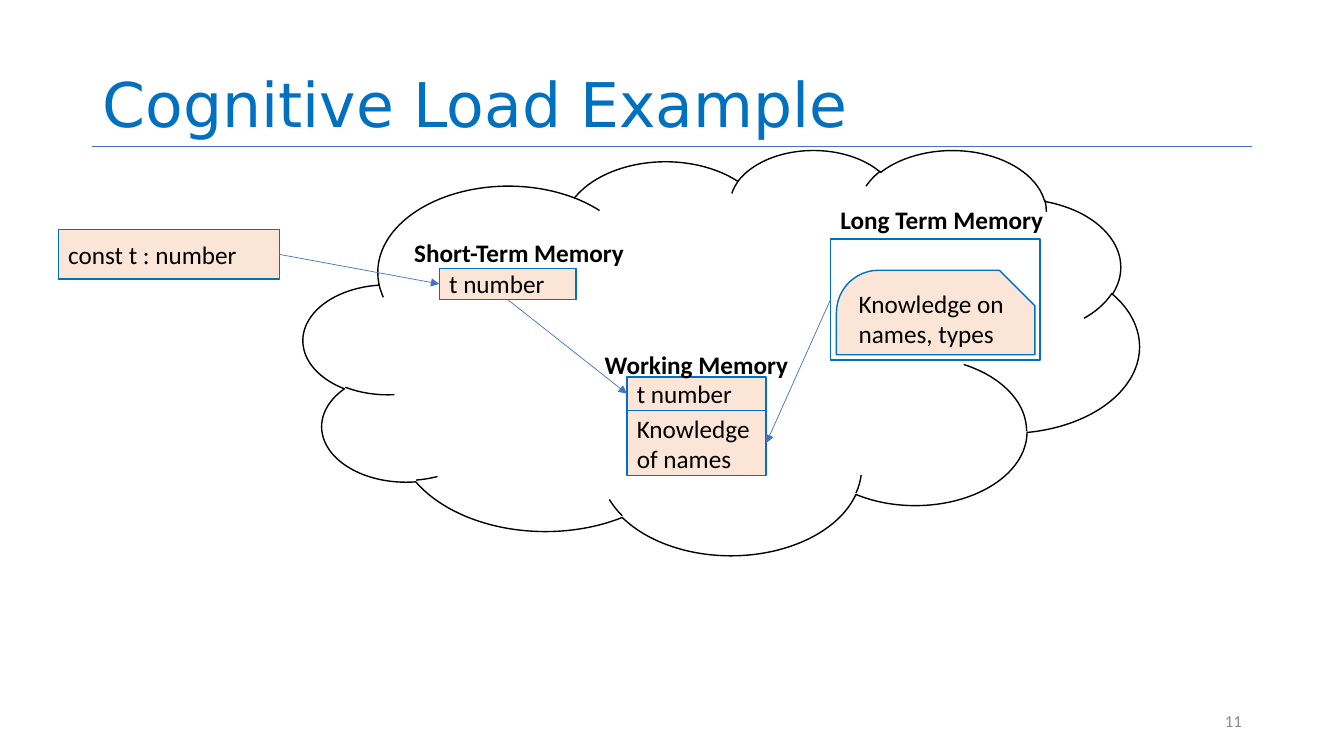
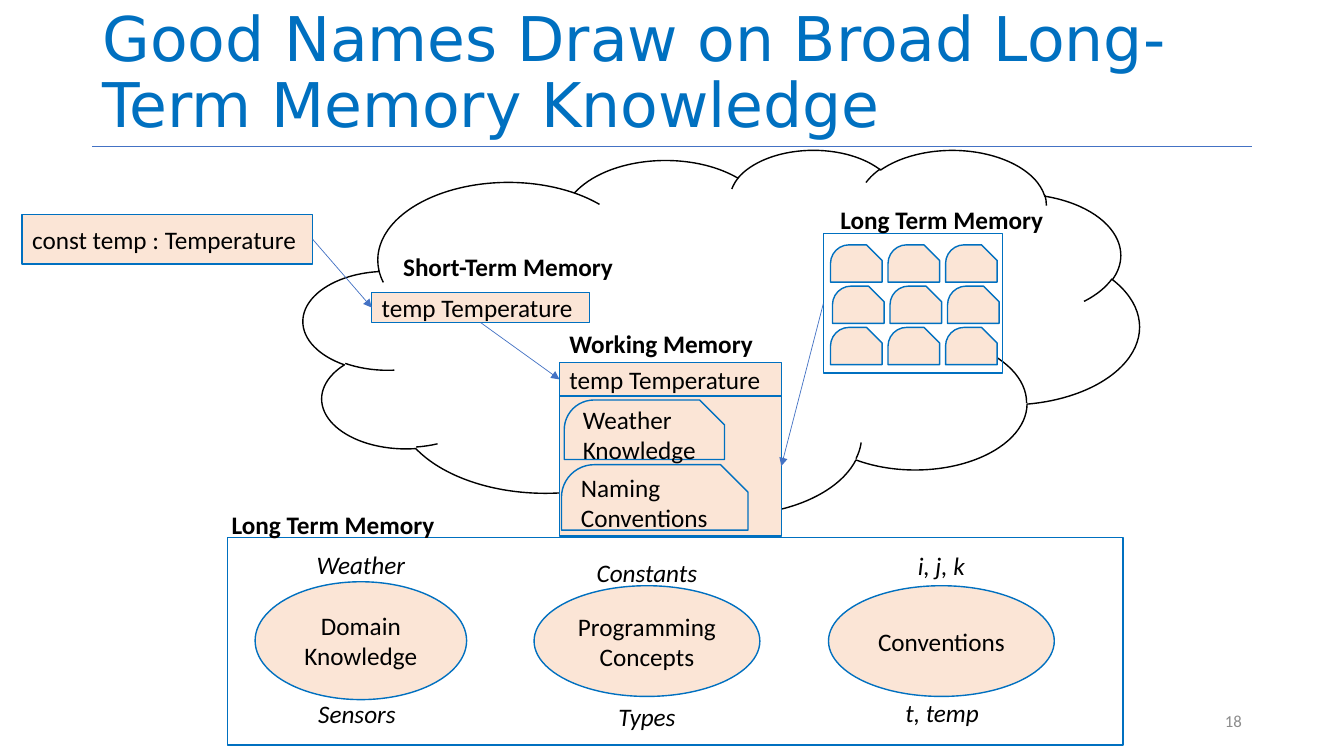
import lxml.etree
import pptx
import pptx.dml.color
import pptx.enum.shapes
import pptx.enum.text
import pptx.oxml.ns
import pptx.util

Cm = pptx.util.Cm
Pt = pptx.util.Pt
Kind = pptx.enum.shapes.MSO_SHAPE
Align = pptx.enum.text.PP_ALIGN
Anchor = pptx.enum.text.MSO_ANCHOR
qn = pptx.oxml.ns.qn

HUES = {
    "title": "0070C0",
    "edge": "0070C0",
    "line": "4472C4",
    "fill": "FBE5D6",
    "text": "000000",
    "page": "8C8C8C",
}
TOP, LEFT, LOW, RIGHT = range(4)


def hue(name):
    return pptx.dml.color.RGBColor.from_string(HUES[name])


def write(frame, text, size=18, font="Calibri", color="text", bold=False,
          italic=False, align=Align.LEFT, anchor=Anchor.MIDDLE, space=1.0):
    frame.word_wrap = True
    frame.auto_size = pptx.enum.text.MSO_AUTO_SIZE.NONE
    frame.vertical_anchor = anchor
    para = frame.paragraphs[0]
    para.alignment = align
    para.line_spacing = space
    run = para.add_run()
    run.text = text
    run.font.size = Pt(size)
    run.font.name = font
    run.font.bold = bold
    run.font.italic = italic
    run.font.color.rgb = hue(color)


class Deck:
    """Holds the style and the slide being drawn."""

    def __init__(self):
        self.show = pptx.Presentation()
        self.show.slide_width = Cm(33.87)
        self.show.slide_height = Cm(19.05)
        self.page = None

    def start(self, title, number):
        """Add a slide with its title, rule and page number."""
        self.page = self.show.slides.add_slide(self.show.slide_layouts[5])
        head = self.page.shapes.title
        head.left, head.top, head.width, head.height = map(Cm, (2.33, 0, 29.21, 3.68))
        write(head.text_frame, title, size=44, font="DejaVu Sans",
              color="title", anchor=Anchor.BOTTOM, space=0.9)
        self.line(2.33, 3.68, 31.54, 3.68)
        self.label(number, 23.93, 17.65, 7.62, 1.02, size=12, color="page",
                   align=Align.RIGHT)

    def label(self, text, x, y, w=6.38, h=1.07, **style):
        box = self.page.shapes.add_textbox(Cm(x), Cm(y), Cm(w), Cm(h))
        write(box.text_frame, text, **style)

    def shape(self, kind, x, y, w, h, text="", fill="fill", edge="edge", **style):
        item = self.page.shapes.add_shape(kind, Cm(x), Cm(y), Cm(w), Cm(h))
        item.shadow.inherit = False
        if fill:
            item.fill.solid()
            item.fill.fore_color.rgb = hue(fill)
        else:
            item.fill.background()
        item.line.color.rgb = hue(edge)
        item.line.width = Pt(1)
        if text:
            write(item.text_frame, text, **style)
        return item

    def box(self, *place, **style):
        return self.shape(Kind.RECTANGLE, *place, **style)

    def chunk(self, *place, **style):
        """Draw a piece of knowledge: one round and one snipped corner."""
        item = self.shape(Kind.SNIP_ROUND_RECTANGLE, *place, **style)
        item.adjustments[0] = 0.5
        item.adjustments[1] = 0.42

    def line(self, x1, y1, x2, y2):
        item = self.page.shapes.add_connector(
            pptx.enum.shapes.MSO_CONNECTOR.STRAIGHT, Cm(x1), Cm(y1), Cm(x2), Cm(y2))
        item.line.color.rgb = hue("line")
        item.line.width = Pt(0.5)
        lxml.etree.SubElement(item._element.spPr, qn("a:effectLst"))
        return item

    def arrow(self, first, out, last, into):
        """Join a side of one box to a side of another."""
        item = self.line(0, 0, 1, 1)
        item.begin_connect(first, out)
        item.end_connect(last, into)
        tail = lxml.etree.SubElement(item.line._get_or_add_ln(), qn("a:tailEnd"))
        tail.set("type", "triangle")

    def mind(self, cloud, code, seen, spots, known=""):
        """Draw the cloud, the three memories and the flow between them."""
        self.shape(Kind.CLOUD, 7.65, 3.76, 21.06, cloud, fill=None, edge="text")
        source = self.box(*spots["code"], text=code)
        store = self.box(*spots["store"], fill=None)
        short = self.box(*spots["short"], text=seen)
        x, y, w, h = spots["work"]
        work = self.box(x, y, w, 0.84, text=seen)
        facts = self.box(x, y + 0.84, w, h, text=known)
        for name, place in spots["names"].items():
            self.label(name, *place, bold=True)
        self.arrow(source, RIGHT, short, LEFT)
        self.arrow(short, LOW, work, LEFT)
        self.arrow(store, LEFT, facts, RIGHT)

    def topic(self, text, place, above, below):
        """Draw an ellipse with an example above and one below it."""
        self.shape(Kind.OVAL, *place, text=text, align=Align.CENTER)
        for word, x, y in (above, below):
            self.label(word, x, y, 3.91, italic=True, align=Align.CENTER)


def load(deck):
    deck.start("Cognitive Load Example", "11")
    deck.mind(10.21, "const t : number", "t number", {
        "code": (1.47, 5.79, 5.57, 1.24),
        "store": (20.93, 6.02, 5.28, 3.05),
        "short": (11.07, 6.76, 3.45, 0.79),
        "work": (15.8, 9.5, 3.51, 1.65),
        "names": {
            "Short-Term Memory": (10.19, 5.82),
            "Long Term Memory": (20.93, 5),
            "Working Memory": (14.99, 8.64),
        },
    }, known="Knowledge of names")
    deck.chunk(21.08, 6.81, 5, 2.13, text="Knowledge on names, types")


def broad(deck):
    deck.start("Good Names Draw on Broad Long-Term Memory Knowledge", "18")
    deck.mind(9.19, "const temp : Temperature", "temp Temperature", {
        "code": (0.56, 5.41, 7.32, 1.24),
        "store": (20.75, 5.89, 4.52, 3.51),
        "short": (9.37, 7.37, 5.49, 0.76),
        "work": (14.1, 9.14, 5.59, 3.53),
        "names": {
            "Short-Term Memory": (9.91, 6.17),
            "Long Term Memory": (20.93, 5),
            "Working Memory": (14.1, 8.13),
        },
    })
    for row in range(3):
        for col in range(3):
            shift = 0.05 if row == 1 else 0
            deck.chunk(20.93 + 1.45 * col + shift, 6.17 + 1.04 * row, 1.3, 0.94)
    deck.chunk(14.22, 10.08, 4.04, 1.5, text="Weather Knowledge")
    deck.chunk(14.15, 11.71, 4.7, 1.65, text="Naming Conventions")

    deck.box(5.74, 13.54, 22.56, 5.23, fill=None)
    deck.label("Long Term Memory", 5.59, 12.67, bold=True)
    deck.topic("Domain Knowledge", (6.43, 14.66, 5.33, 2.97),
               ("Weather", 7.14, 13.69), ("Sensors", 7.04, 17.45))
    deck.topic("Programming Concepts", (13.46, 14.76, 5.69, 2.79),
               ("Constants", 14.35, 13.89), ("Types", 14.35, 17.53))
    deck.topic("Conventions", (20.88, 14.76, 5.69, 2.79),
               ("i, j, k", 21.77, 13.72), ("t, temp", 21.79, 17.42))


def main():
    deck = Deck()
    load(deck)
    broad(deck)
    deck.show.save("out.pptx")


if __name__ == "__main__":
    main()
